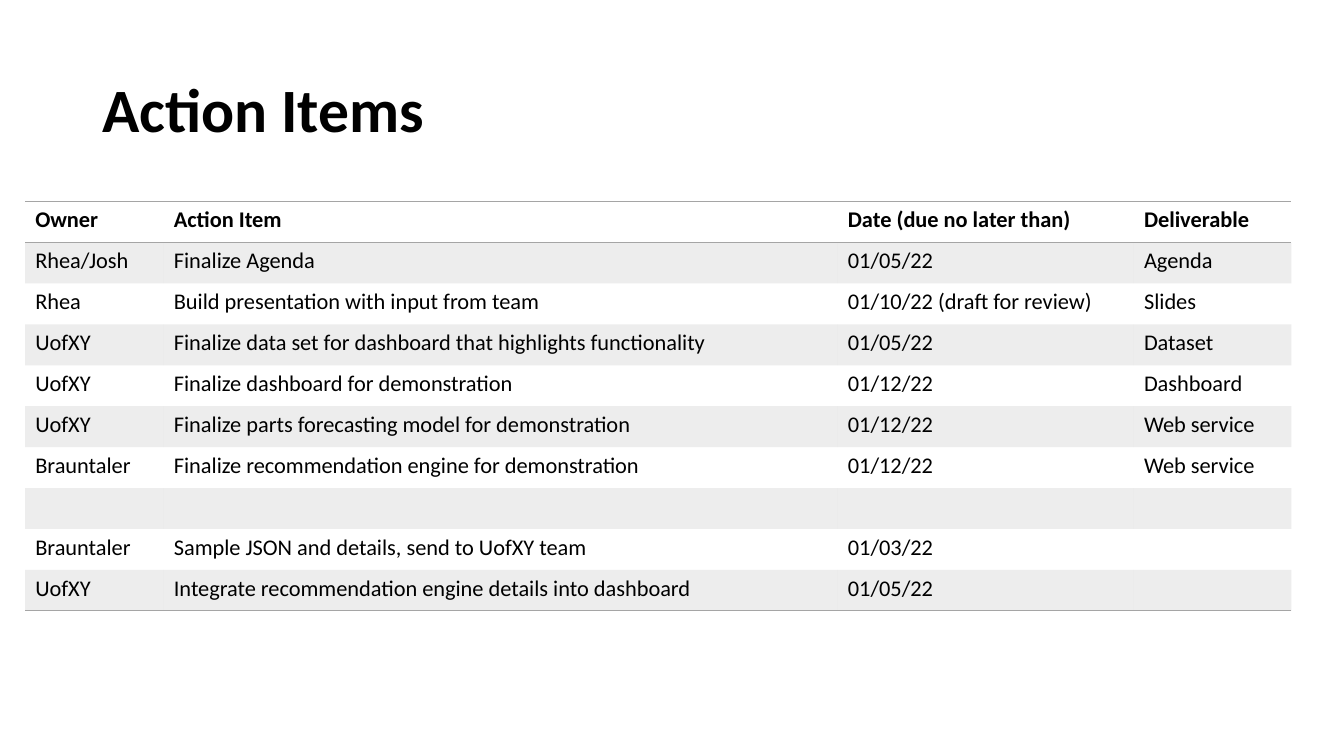
from lxml.etree import SubElement
from pptx import Presentation
from pptx.dml.color import RGBColor
from pptx.enum.text import MSO_ANCHOR, PP_ALIGN
from pptx.oxml.ns import qn
from pptx.util import Pt

EMU_PER_PX = 9525
NO_STYLE_NO_GRID = "{2D5ABB26-0587-4C30-8999-92F81FD0307C}"

HEADINGS = ("Owner", "Action Item", "Date (due no later than)", "Deliverable")
ACTIONS = [
    ("Rhea/Josh", "Finalize Agenda", "01/05/22", "Agenda"),
    ("Rhea", "Build presentation with input from team", "01/10/22 (draft for review)", "Slides"),
    ("UofXY", "Finalize data set for dashboard that highlights functionality", "01/05/22", "Dataset"),
    ("UofXY", "Finalize dashboard for demonstration", "01/12/22", "Dashboard"),
    ("UofXY", "Finalize parts forecasting model for demonstration", "01/12/22", "Web service"),
    ("Brauntaler", "Finalize recommendation engine for demonstration", "01/12/22", "Web service"),
    ("", "", "", ""),
    ("Brauntaler", "Sample JSON and details, send to UofXY team", "01/03/22", ""),
    ("UofXY", "Integrate recommendation engine details into dashboard", "01/05/22", ""),
]


def px(length):
    return length * EMU_PER_PX


def color(hex_string):
    return RGBColor.from_string(hex_string)


class ActionSlide:
    font_name = "Calibri"
    ink = "000000"
    accent = "A5A5A5"
    band_opacity = 20

    def __init__(self, deck):
        self.slide = deck.slides.add_slide(deck.slide_layouts[5])

    def style(self, paragraph, size, bold):
        font = paragraph.font
        font.name = self.font_name
        font.size = Pt(size)
        font.bold = bold
        font.color.rgb = color(self.ink)

    def title(self, text, left, top, width, height):
        heading = self.slide.shapes.title
        heading.left, heading.top = px(left), px(top)
        heading.width, heading.height = px(width), px(height)
        frame = heading.text_frame
        frame.text = text
        frame.vertical_anchor = MSO_ANCHOR.MIDDLE
        paragraph = frame.paragraphs[0]
        paragraph.alignment = PP_ALIGN.LEFT
        paragraph.line_spacing = 0.9
        self.style(paragraph, 44, True)

    def rule(self, cell, side):
        line = SubElement(cell._tc.get_or_add_tcPr(), qn(f"a:{side}"), w=str(Pt(1)))
        fill = SubElement(line, qn("a:solidFill"))
        SubElement(fill, qn("a:srgbClr"), val=self.accent)

    def band(self, cell):
        cell.fill.solid()
        cell.fill.fore_color.rgb = color(self.accent)
        shade = cell._tc.tcPr.find(f"{qn('a:solidFill')}/{qn('a:srgbClr')}")
        SubElement(shade, qn("a:alpha"), val=str(self.band_opacity * 1000))

    def table(self, rows, left, top, column_widths, row_height):
        table = self.slide.shapes.add_table(
            len(rows), len(column_widths), px(left), px(top),
            px(sum(column_widths)), px(row_height * len(rows))).table
        table.horz_banding = False
        table._tbl.tblPr.find(qn("a:tableStyleId")).text = NO_STYLE_NO_GRID
        for column, width in zip(table.columns, column_widths):
            column.width = px(width)
        for row_index, values in enumerate(rows):
            table.rows[row_index].height = px(row_height)
            for column_index, value in enumerate(values):
                cell = table.cell(row_index, column_index)
                cell.text = value
                self.style(cell.text_frame.paragraphs[0], 16, row_index == 0)
                if row_index == 0:
                    self.rule(cell, "lnT")
                if row_index in (0, len(rows) - 1):
                    self.rule(cell, "lnB")
                if row_index % 2:
                    self.band(cell)
                else:
                    cell.fill.background()


def main():
    deck = Presentation()
    deck.slide_width, deck.slide_height = px(1280), px(720)
    page = ActionSlide(deck)
    page.title("Action Items", 88, 38, 1104, 139)
    page.table([HEADINGS, *ACTIONS], 24, 192, (132, 642, 282, 150), 39)
    deck.save("out.pptx")


if __name__ == "__main__":
    main()
